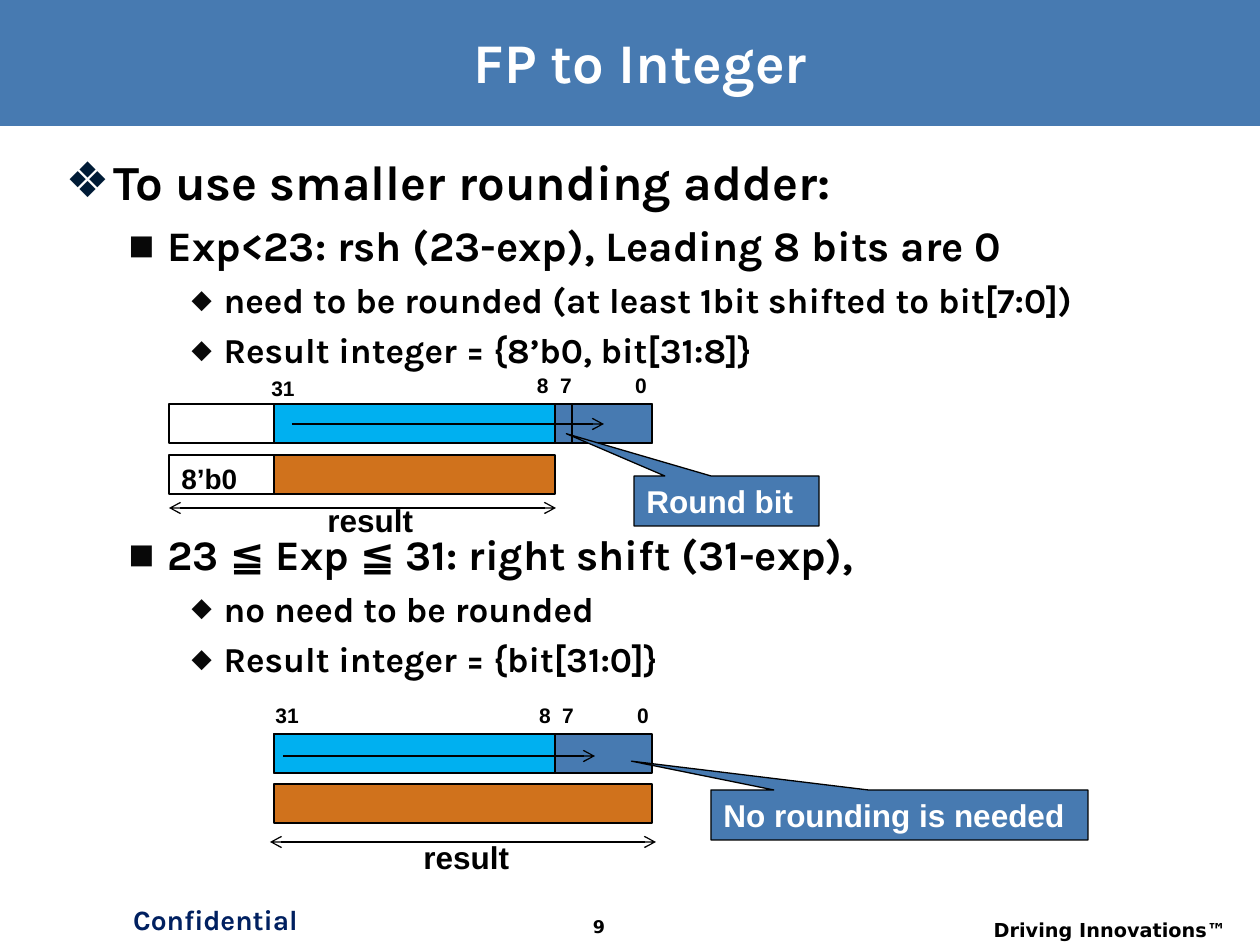
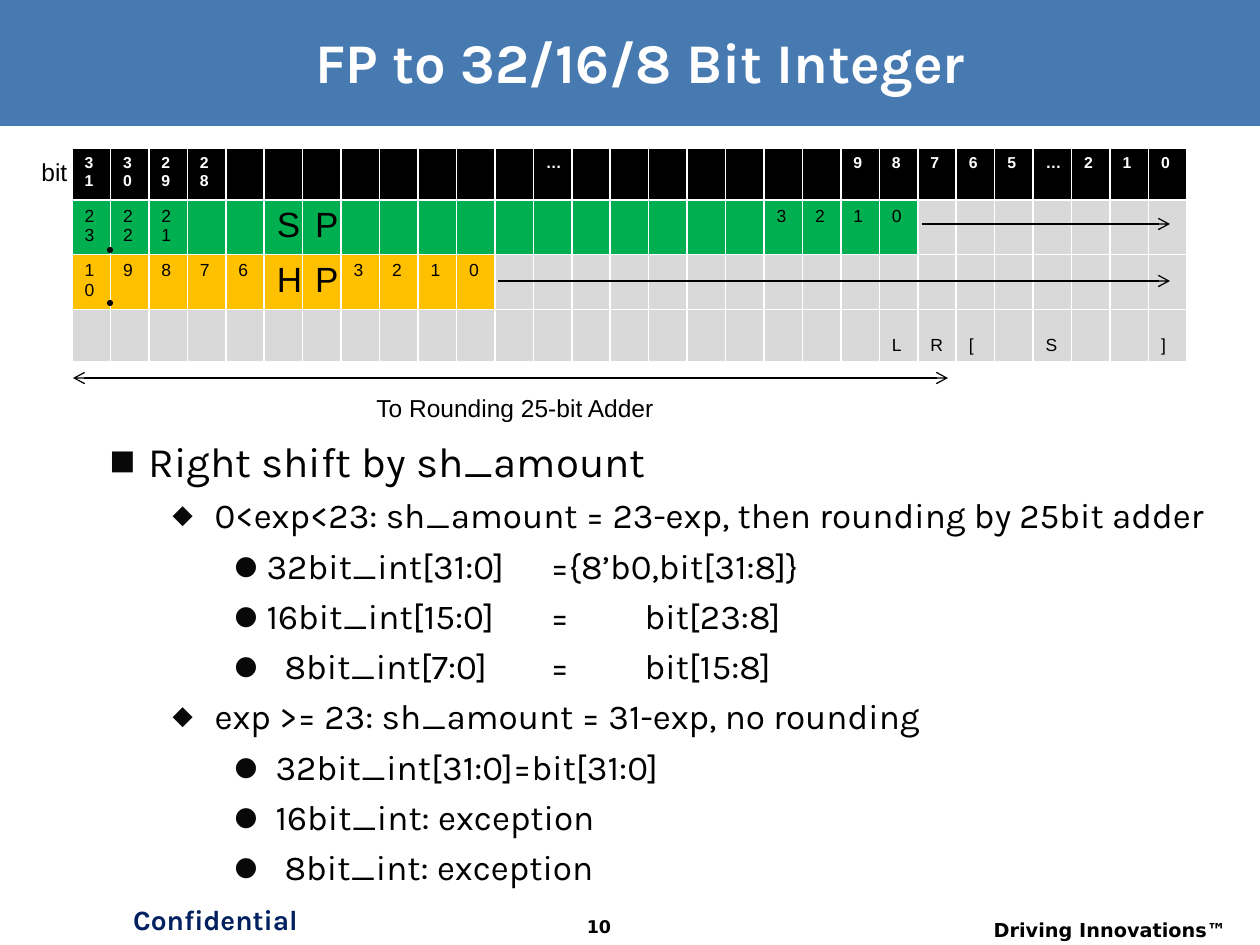
import dataclasses

import lxml.etree
import pptx
import pptx.dml.color
import pptx.enum.shapes
import pptx.enum.text
import pptx.oxml.ns
import pptx.util

EMU_PER_PX = 914400 / 126
SHAPE = pptx.enum.shapes.MSO_SHAPE
ALIGN = pptx.enum.text.PP_ALIGN
ANCHOR = pptx.enum.text.MSO_ANCHOR


@dataclasses.dataclass(frozen=True)
class Theme:
    blue: str = "477AB1"
    cyan: str = "00B0F0"
    orange: str = "D0721C"
    green: str = "00B050"
    amber: str = "FFC000"
    grey: str = "D9D9D9"
    navy: str = "002060"
    black: str = "000000"
    white: str = "FFFFFF"
    heading_font: str = "Karla"
    diagram_font: str = "Arial"
    footer_font: str = "DejaVu Sans"
    title_size: int = 32
    level_sizes: tuple = (28, 24, 20, 20)
    callout_size: int = 18
    value_size: int = 16
    caption_size: int = 14
    bit_size: int = 12
    line_width: float = 0.75


THEME = Theme()

# Per list level: text indent px, hanging px, bullet, bullet percent, bullet colour, space before pt
LEVELS = [
    (48, 48, "❖", 100, "001B36", 6.5),
    (102, 39, "■", 65, "080808", 5.6),
    (158, 32, "◆", 75, "080808", 4.7),
    (220, 32, "●", 75, "080808", 4.7),
]


def px(length):
    return pptx.util.Emu(round(length * EMU_PER_PX))


def rgb(colour):
    return pptx.dml.color.RGBColor.from_string(colour)


def set_values(target, values):
    for name, value in values.items():
        setattr(target, name, value)


def add_element(parent, tag, **attributes):
    element = lxml.etree.SubElement(parent, pptx.oxml.ns.qn(tag))
    for name, value in attributes.items():
        element.set(name, str(value))
    return element


def place(shape, left, top, width, height):
    set_values(shape, {"left": px(left), "top": px(top), "width": px(width), "height": px(height)})


def write(para, text, size, font=THEME.diagram_font, colour=THEME.black, bold=True):
    span = para.add_run()
    span.text = text
    set_values(span.font, {"size": pptx.util.Pt(size), "name": font, "bold": bold})
    span.font.color.rgb = rgb(colour)
    return span


def add_tabs(para, stops):
    tabs = add_element(para._p.get_or_add_pPr(), "a:tabLst")
    for stop in stops:
        add_element(tabs, "a:tab", pos=px(stop), algn="l")


def add_label(slide, box, text, size, align=ALIGN.LEFT, tabs=(), **style):
    label = slide.shapes.add_textbox(*map(px, box))
    label.text_frame.word_wrap = True
    para = label.text_frame.paragraphs[0]
    if tabs:
        add_tabs(para, tabs)
    para.alignment = align
    write(para, text, size, **style)
    return label


def add_block(slide, box, fill=None, kind=SHAPE.RECTANGLE, outlined=True):
    block = slide.shapes.add_shape(kind, *map(px, box))
    block.shadow.inherit = False
    if fill:
        block.fill.solid()
        block.fill.fore_color.rgb = rgb(fill)
    else:
        block.fill.background()
    if outlined:
        block.line.color.rgb = rgb(THEME.black)
        block.line.width = pptx.util.Pt(THEME.line_width)
    else:
        block.line.fill.background()
    return block


def write_in_block(block, text, size, colour):
    set_values(block.text_frame, {"vertical_anchor": ANCHOR.TOP, "word_wrap": True})
    para = block.text_frame.paragraphs[0]
    para.alignment = ALIGN.LEFT
    write(para, text, size, colour=colour)


def add_callout(slide, box, pointer, text):
    callout = add_block(slide, box, THEME.blue, SHAPE.RECTANGULAR_CALLOUT)
    for index, offset in enumerate(pointer):
        callout.adjustments[index] = offset
    write_in_block(callout, text, THEME.callout_size, THEME.white)


def add_line(slide, start, end, arrows=()):
    """Draw a line; arrows may hold "headEnd" (start) and "tailEnd" (end)."""
    line = slide.shapes.add_connector(
        pptx.enum.shapes.MSO_CONNECTOR.STRAIGHT, *map(px, start + end))
    line.line.color.rgb = rgb(THEME.black)
    line.line.width = pptx.util.Pt(THEME.line_width)
    for arrow in arrows:
        add_element(line.line._get_or_add_ln(), f"a:{arrow}", type="arrow")
    add_element(line._element.spPr, "a:effectLst")


def add_framed_slide(deck, title, number):
    """Add a slide with the title on its band and the footers."""
    slide = deck.slides.add_slide(deck.slide_layouts[1])
    band = add_block(slide, (0, 0, 1260, 126), THEME.blue, outlined=False)
    slide.shapes._spTree.insert(2, band._element)

    heading = slide.shapes.title
    place(heading, 44, 20, 1193, 83)
    set_values(heading.text_frame, {
        "vertical_anchor": ANCHOR.MIDDLE, "word_wrap": True,
        "auto_size": pptx.enum.text.MSO_AUTO_SIZE.NONE})
    para = heading.text_frame.paragraphs[0]
    para.alignment = ALIGN.CENTER
    span = write(para, title, THEME.title_size, THEME.heading_font, THEME.white)
    properties = span._r.get_or_add_rPr()
    effects = add_element(properties, "a:effectLst")
    shadow = add_element(effects, "a:outerShdw", dist=38100, dir=2700000, algn="tl")
    add_element(shadow, "a:srgbClr", val=THEME.black)
    properties.find(pptx.oxml.ns.qn("a:solidFill")).addnext(effects)

    add_label(slide, (112, 896, 207, 53), "Confidential", 16, ALIGN.CENTER,
              font=THEME.heading_font, colour=THEME.navy)
    add_label(slide, (940, 912, 299, 33), "Driving Innovations™", 11, ALIGN.RIGHT,
              font=THEME.footer_font)
    add_label(slide, (541, 910, 116, 35), str(number), 10, ALIGN.CENTER,
              font=THEME.footer_font)
    return slide


def fill_list(slide, box, lines, bold):
    """Fill the body from (level, text, options): shift px, tabs px, space pt."""
    body = slide.placeholders[1]
    place(body, *box)
    frame = body.text_frame
    set_values(frame, {"word_wrap": True, "vertical_anchor": ANCHOR.TOP,
                       "auto_size": pptx.enum.text.MSO_AUTO_SIZE.NONE})
    for index, (level, text, options) in enumerate(lines):
        para = frame.add_paragraph() if index else frame.paragraphs[0]
        indent, hanging, bullet, percent, colour, space = LEVELS[level]
        shift = options.get("shift", 0)
        properties = para._p.get_or_add_pPr()
        properties.set("marL", str(px(indent + shift)))
        properties.set("indent", str(px(-hanging - shift)))
        add_element(add_element(properties, "a:buClr"), "a:srgbClr", val=colour)
        add_element(properties, "a:buSzPct", val=percent * 1000)
        add_element(properties, "a:buFont", typeface=THEME.footer_font)
        add_element(properties, "a:buChar", char=bullet)
        if "tabs" in options:
            add_tabs(para, options["tabs"])
        set_values(para, {
            "level": level, "alignment": ALIGN.LEFT,
            "space_before": pptx.util.Pt(options.get("space", space) if index else 0)})
        write(para, text, THEME.level_sizes[level], THEME.heading_font, bold=bold)


def add_register(slide, top, label_left):
    """Draw the 32-bit register: 24 upper bits, 8 lower bits and bit numbers."""
    add_block(slide, (274, top, 378, 39), THEME.blue)
    add_block(slide, (274, top, 281, 39), THEME.cyan)
    numbers = add_label(slide, (label_left, top - 38, 156, 38), "8\t7\t0",
                        THEME.bit_size, tabs=(23, 98))
    numbers.text_frame.margin_left = px(18)


def add_result(slide, left, right, top, label_box):
    add_line(slide, (left, top), (right, top), ("headEnd", "tailEnd"))
    add_label(slide, label_box, "result", THEME.callout_size)


def add_bit_table(slide):
    columns, row_height = 29, 52
    sp_end, hp_end = 22, 11
    rows = [
        ({0: "31", 1: "30", 2: "29", 3: "28", 12: "…", 20: "9", 21: "8", 22: "7",
          23: "6", 24: "5", 25: "…", 26: "2", 27: "1", 28: "0"}, THEME.black, columns),
        ({0: "23", 1: "22", 2: "21", 5: "S", 6: "P", 18: "3", 19: "2", 20: "1", 21: "0"},
         THEME.green, sp_end),
        ({0: "10", 1: "9", 2: "8", 3: "7", 4: "6", 5: "H", 6: "P", 7: "3", 8: "2",
          9: "1", 10: "0"}, THEME.amber, hp_end),
        ({21: "L", 22: "R", 23: "[", 25: "S", 28: "]"}, THEME.grey, columns),
    ]
    table = slide.shapes.add_table(
        len(rows), columns, px(72), px(148), px(1116), px(row_height * len(rows))).table
    table.horz_banding = False
    for column in table.columns:
        column.width = px(1116 / columns)
    for row, (texts, colour, filled) in enumerate(rows):
        table.rows[row].height = px(row_height)
        for column in range(columns):
            cell = table.cell(row, column)
            cell.fill.solid()
            cell.fill.fore_color.rgb = rgb(colour if column < filled else THEME.grey)
            cell.vertical_anchor = ANCHOR.BOTTOM if row == 3 else ANCHOR.TOP
            if column in texts:
                is_header = row == 0
                is_format_name = row in (1, 2) and column in (5, 6)
                write(cell.text_frame.paragraphs[0], texts[column],
                      9 if is_header else 20 if is_format_name else 10,
                      colour=THEME.white if is_header else THEME.black, bold=is_header)


def build_rounding_slide(deck):
    slide = add_framed_slide(deck, "FP to Integer", 9)
    fill_list(slide, (53, 145, 1162, 726), [
        (0, "To use smaller rounding adder:", {}),
        (1, "Exp<23: rsh (23-exp), Leading 8 bits are 0", {}),
        (2, "need to be rounded (at least 1bit shifted to bit[7:0])", {}),
        (2, "Result integer = {8’b0, bit[31:8]}", {}),
        (1, "23 ≦ Exp ≦ 31: right shift (31-exp),", {"space": 90}),
        (2, "no need to be rounded", {}),
        (2, "Result integer = {bit[31:0]}", {}),
    ], bold=True)

    add_block(slide, (169, 404, 483, 39))
    add_register(slide, 404, 519)
    add_label(slide, (259, 369, 66, 38), "31", THEME.bit_size)
    add_block(slide, (274, 455, 281, 39), THEME.orange)
    zeros = add_block(slide, (169, 455, 105, 39), THEME.white)
    write_in_block(zeros, "8’b0", THEME.value_size, THEME.black)
    add_line(slide, (572, 404), (572, 443))
    add_line(slide, (292, 424), (604, 424), ("tailEnd",))
    add_callout(slide, (634, 476, 185, 50), (-0.866, -1.346), "Round bit")
    add_result(slide, 169, 556, 508, (315, 495, 136, 50))

    add_register(slide, 734, 521)
    add_label(slide, (263, 696, 66, 38), "31", THEME.bit_size)
    add_block(slide, (274, 784, 378, 39), THEME.orange)
    add_line(slide, (283, 756), (595, 756), ("tailEnd",))
    add_callout(slide, (711, 790, 377, 50), (-0.711, -1.076), "No rounding is needed")
    add_result(slide, 270, 656, 842, (411, 832, 136, 50))


def build_bit_width_slide(deck):
    slide = add_framed_slide(deck, "FP to 32/16/8 Bit Integer", 10)
    equals, value = 504, 598
    fill_list(slide, (34, 429, 1189, 473), [
        (1, "Right shift by sh_amount", {}),
        (2, "0<exp<23: sh_amount = 23-exp, then rounding by 25bit adder", {"shift": 10}),
        (3, "32bit_int[31:0]\t={8’b0,bit[31:8]}", {"tabs": (equals,)}),
        (3, "16bit_int[15:0]\t=\tbit[23:8]", {"tabs": (equals, value)}),
        (3, "8bit_int[7:0]\t=\tbit[15:8]", {"tabs": (equals, value), "shift": 18}),
        (2, "exp >= 23: sh_amount = 31-exp, no rounding", {"shift": 10}),
        (3, "32bit_int[31:0]=bit[31:0]", {"shift": 9}),
        (3, "16bit_int: exception", {"shift": 9}),
        (3, "8bit_int: exception", {"shift": 18}),
    ], bold=False)

    add_bit_table(slide)
    for top in (247, 300):
        add_block(slide, (107, top, 6, 6), THEME.black, SHAPE.FLOWCHART_CONNECTOR, outlined=False)
    add_label(slide, (29, 151, 55, 43), "bit", THEME.caption_size, bold=False)
    for left, top in ((922, 224), (498, 281)):
        add_line(slide, (left, top), (1170, top), ("tailEnd",))
    add_line(slide, (73, 378), (948, 378), ("headEnd", "tailEnd"))
    add_label(slide, (364, 387, 352, 43), "To Rounding 25-bit Adder",
              THEME.caption_size, bold=False)


def main():
    deck = pptx.Presentation()
    set_values(deck, {"slide_width": px(1260), "slide_height": px(945)})
    build_rounding_slide(deck)
    build_bit_width_slide(deck)
    deck.save("out.pptx")


if __name__ == "__main__":
    main()
